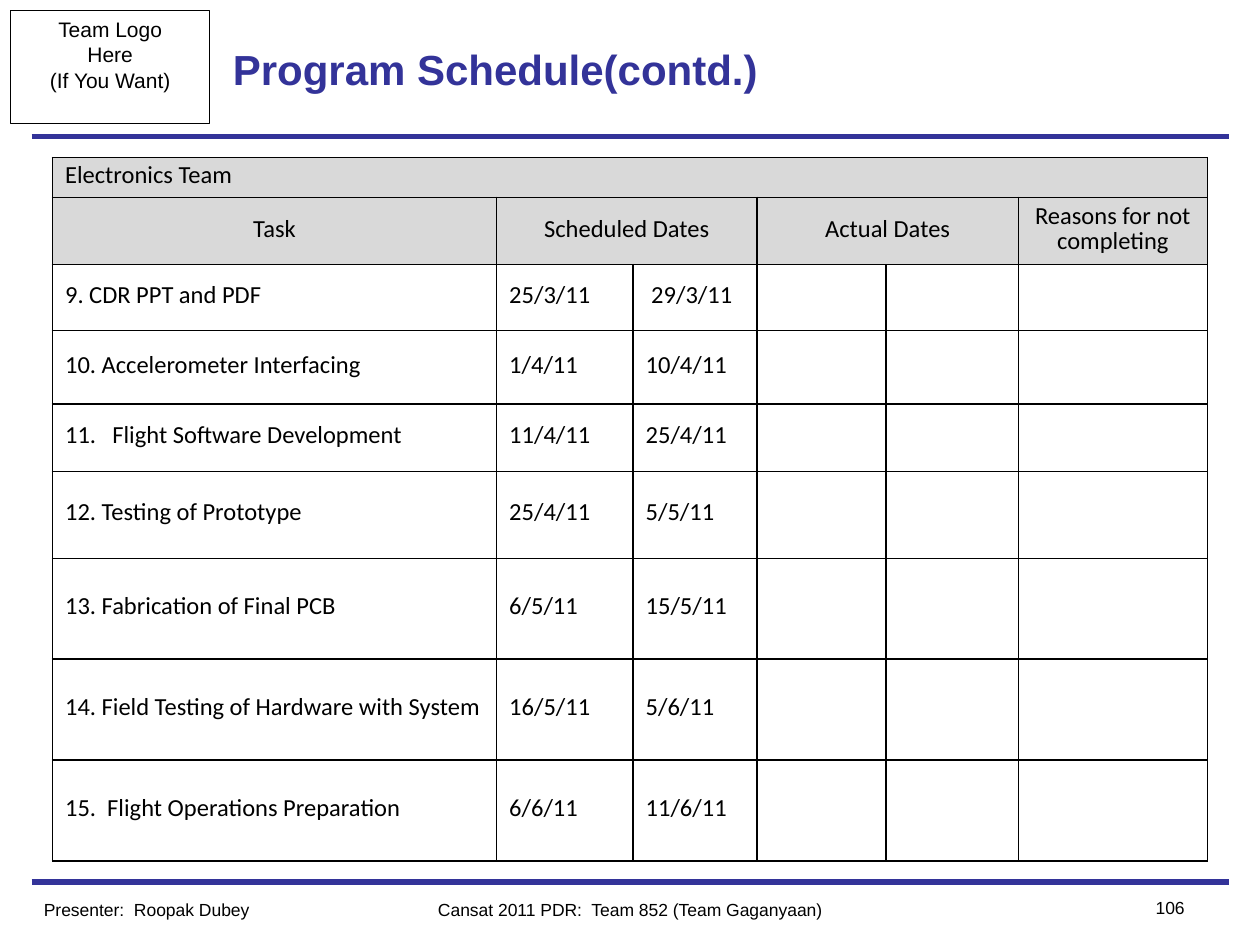
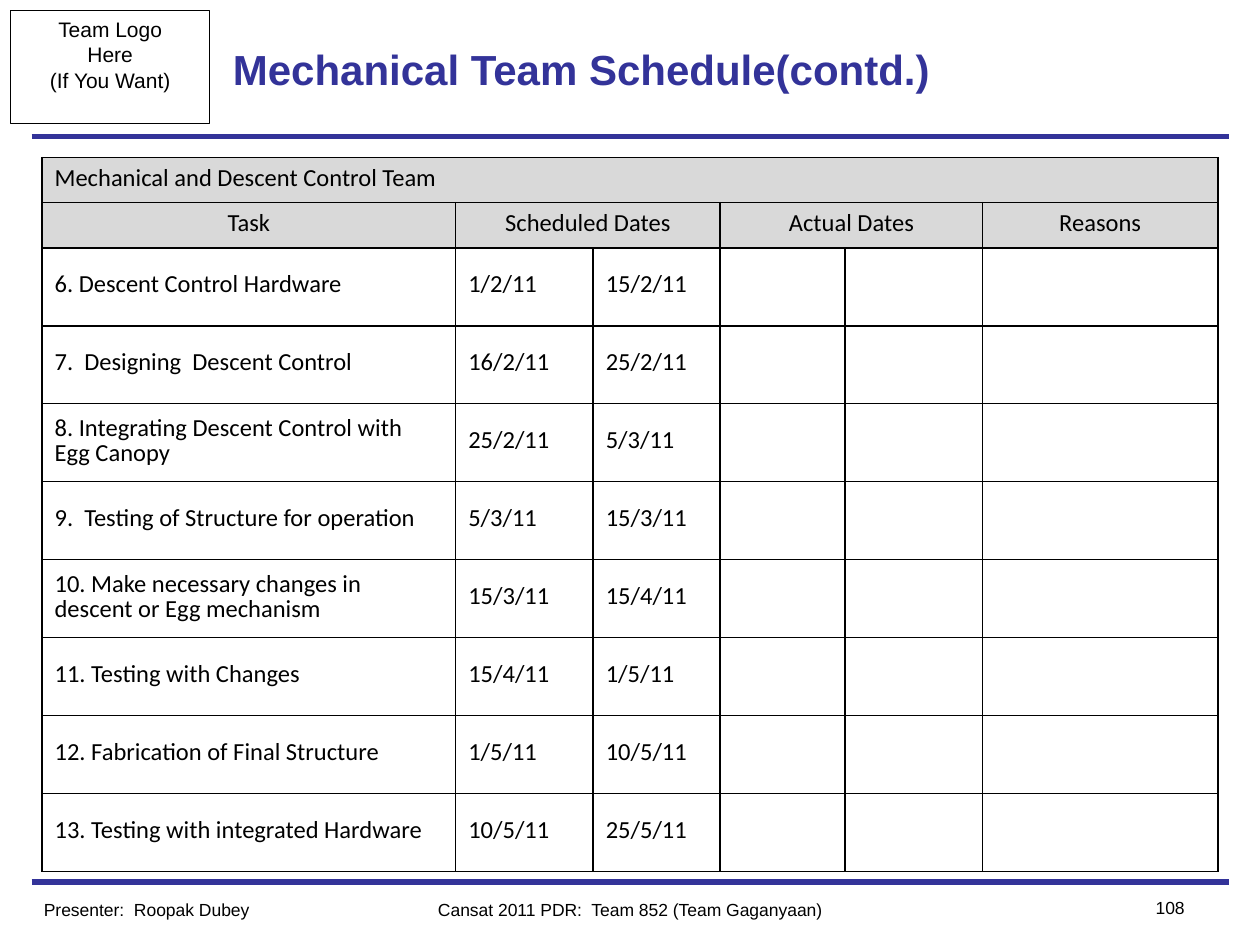
from dataclasses import dataclass

import pptx
import pptx.dml.color
import pptx.enum.shapes
import pptx.enum.text
import pptx.oxml
import pptx.oxml.ns
import pptx.util
from pptx.presentation import Presentation
from pptx.slide import Slide
from pptx.table import Table, _Cell
from pptx.text.text import TextFrame, _Paragraph

ALIGN = pptx.enum.text.PP_ALIGN
ANCHOR = pptx.enum.text.MSO_ANCHOR

WIDTH, HEIGHT = pptx.util.Inches(10), pptx.util.Inches(7.5)
GRID_COLUMNS = 120
UNIT = WIDTH / GRID_COLUMNS  # one square grid step; the slide is 120 by 90


@dataclass(frozen=True)
class Theme:
    accent: str = "333399"
    ink: str = "000000"
    paper: str = "FFFFFF"
    header_fill: str = "D9D9D9"
    slide_font: str = "Arial"
    table_font: str = "Calibri"
    title_size: int = 24
    table_size: int = 14
    logo_size: int = 12
    footer_size: int = 10
    rule_width: float = 3
    box_width: float = 0.5
    border_width: float = 1
    table_leading: float = 0.82


THEME = Theme()


@dataclass(frozen=True)
class TextStyle:
    size: int
    font: str = THEME.slide_font
    color: str = THEME.ink
    bold: bool = False


TITLE = TextStyle(THEME.title_size, color=THEME.accent, bold=True)
LOGO = TextStyle(THEME.logo_size)
FOOTER = TextStyle(THEME.footer_size)
CELL = TextStyle(THEME.table_size, THEME.table_font)


@dataclass(frozen=True)
class Area:
    """A rectangle in grid steps."""
    left: float
    top: float
    width: float
    height: float

    def emu(self) -> tuple[int, ...]:
        return tuple(map(grid, (self.left, self.top, self.width, self.height)))


@dataclass(frozen=True)
class Label:
    area: Area
    text: str
    style: TextStyle
    align: ALIGN = ALIGN.LEFT
    anchor: ANCHOR = ANCHOR.TOP


@dataclass(frozen=True)
class Task:
    name: str
    start: str
    end: str


@dataclass(frozen=True)
class Schedule:
    title: str
    page: int
    team: str
    reasons: str
    left: float
    columns: tuple[float, ...]
    rows: tuple[float, ...]
    tasks: tuple[Task, ...]


TABLE_TOP = 15
RULE_ROWS = (84, 13)
RULE_SPAN = (3, 117)
LOGO_AREA = Area(1, 1, 19, 10.8)
LOGO_LINES = ("Team Logo", "Here", "(If You Want)")
TAB_STOP = 4.5

SCHEDULES = (
    Schedule(
        "Program Schedule(contd.)", 106, "Electronics Team", "Reasons for not completing",
        left=5,
        columns=(42.3, 13, 11.8, 12.3, 12.6, 18),
        rows=(3.8, 6.4, 6.3, 7, 6.4, 8.3) + (9.6,) * 3,
        tasks=(
            Task("9. CDR PPT and PDF", "25/3/11", " 29/3/11"),
            Task("10. Accelerometer Interfacing", "1/4/11", "10/4/11"),
            Task("11.\tFlight Software Development", "11/4/11", "25/4/11"),
            Task("12. Testing of Prototype", "25/4/11", "5/5/11"),
            Task("13. Fabrication of Final PCB", "6/5/11", "15/5/11"),
            Task("14. Field Testing of Hardware with System", "16/5/11", "5/6/11"),
            Task("15.  Flight Operations Preparation", "6/6/11", "11/6/11"),
        ),
    ),
    Schedule(
        "Mechanical Team Schedule(contd.)", 108, "Mechanical and Descent Control Team", "Reasons",
        left=4,
        columns=(39.4, 13.1, 12.1, 11.9, 13.1, 22.4),
        rows=(4.3,) * 2 + (7.43,) * 8,
        tasks=(
            Task("6. Descent Control Hardware", "1/2/11", "15/2/11"),
            Task("7.  Designing  Descent Control", "16/2/11", "25/2/11"),
            Task("8. Integrating Descent Control with Egg Canopy", "25/2/11", "5/3/11"),
            Task("9.  Testing of Structure for operation", "5/3/11", "15/3/11"),
            Task("10. Make necessary changes in descent or Egg mechanism", "15/3/11", "15/4/11"),
            Task("11. Testing with Changes", "15/4/11", "1/5/11"),
            Task("12. Fabrication of Final Structure", "1/5/11", "10/5/11"),
            Task("13. Testing with integrated Hardware", "10/5/11", "25/5/11"),
        ),
    ),
)


def grid(steps: float) -> int:
    return round(steps * UNIT)


def rgb(color: str) -> pptx.dml.color.RGBColor:
    return pptx.dml.color.RGBColor.from_string(color)


def add_run(p: _Paragraph, text: str, style: TextStyle) -> None:
    r = p.add_run()
    r.text = text
    r.font.name = style.font
    r.font.size = pptx.util.Pt(style.size)
    r.font.bold = style.bold
    r.font.color.rgb = rgb(style.color)


def write_lines(tf: TextFrame, lines: tuple[str, ...], style: TextStyle, align: ALIGN) -> None:
    for i, line in enumerate(lines):
        p = tf.add_paragraph() if i else tf.paragraphs[0]
        p.alignment = align
        add_run(p, line, style)


def add_rule(s: Slide, row: float) -> None:
    start, end = map(grid, RULE_SPAN)
    y = grid(row)
    line = s.shapes.add_connector(pptx.enum.shapes.MSO_CONNECTOR.STRAIGHT, start, y, end, y)
    line.line.color.rgb = rgb(THEME.accent)
    line.line.width = pptx.util.Pt(THEME.rule_width)
    sp_pr = line._element.spPr
    sp_pr.append(sp_pr.makeelement(pptx.oxml.ns.qn("a:effectLst"), {}))


def add_logo_box(s: Slide) -> None:
    sp = s.shapes.add_shape(pptx.enum.shapes.MSO_SHAPE.RECTANGLE, *LOGO_AREA.emu())
    sp.shadow.inherit = False
    sp.fill.background()
    sp.line.color.rgb = rgb(THEME.ink)
    sp.line.width = pptx.util.Pt(THEME.box_width)
    tf = sp.text_frame
    tf.word_wrap = False
    tf.vertical_anchor = ANCHOR.TOP
    write_lines(tf, LOGO_LINES, LOGO, ALIGN.CENTER)


def add_label(s: Slide, label: Label) -> None:
    tf = s.shapes.add_textbox(*label.area.emu()).text_frame
    tf.word_wrap = True
    tf.vertical_anchor = label.anchor
    write_lines(tf, (label.text,), label.style, label.align)


def style_cell(cell: _Cell, fill: str) -> None:
    """Set insets, borders and fill; borders must precede the fill in the XML."""
    cell.margin_left = cell.margin_right = pptx.util.Inches(0.1)
    cell.margin_top, cell.margin_bottom = pptx.util.Inches(0.03), pptx.util.Inches(0.05)
    cell.vertical_anchor = ANCHOR.MIDDLE
    tc_pr = cell._tc.get_or_add_tcPr()
    for side in "LRTB":
        tc_pr.append(pptx.oxml.parse_xml(
            f'<a:ln{side} {pptx.oxml.ns.nsdecls("a")} w="{pptx.util.Pt(THEME.border_width)}">'
            f'<a:solidFill><a:srgbClr val="{THEME.ink}"/></a:solidFill></a:ln{side}>'))
    cell.fill.solid()
    cell.fill.fore_color.rgb = rgb(fill)


def write_cell(cell: _Cell, text: str, align: ALIGN = ALIGN.LEFT) -> None:
    p = cell.text_frame.paragraphs[0]
    p.alignment = align
    p.line_spacing = THEME.table_leading
    if "\t" in text:
        p._p.get_or_add_pPr().append(pptx.oxml.parse_xml(
            f'<a:tabLst {pptx.oxml.ns.nsdecls("a")}>'
            f'<a:tab pos="{grid(TAB_STOP)}" algn="l"/></a:tabLst>'))
    add_run(p, text, CELL)


def fill_headers(table: Table, schedule: Schedule) -> None:
    for row, first, last in ((0, 0, 5), (1, 1, 2), (1, 3, 4)):
        table.cell(row, first).merge(table.cell(row, last))
    write_cell(table.cell(0, 0), schedule.team)
    headings = {0: "Task", 1: "Scheduled Dates", 3: "Actual Dates", 5: schedule.reasons}
    for column, heading in headings.items():
        write_cell(table.cell(1, column), heading, ALIGN.CENTER)


def add_schedule_table(s: Slide, schedule: Schedule) -> None:
    columns, rows = schedule.columns, schedule.rows
    area = Area(schedule.left, TABLE_TOP, sum(columns), sum(rows))
    table = s.shapes.add_table(len(rows), len(columns), *area.emu()).table
    table.first_row = table.horz_banding = False
    for column, width in zip(table.columns, columns):
        column.width = grid(width)
    for i, (row, height) in enumerate(zip(table.rows, rows)):
        row.height = grid(height)
        for cell in row.cells:
            style_cell(cell, THEME.header_fill if i < 2 else THEME.paper)
    fill_headers(table, schedule)
    for i, task in enumerate(schedule.tasks, start=2):
        for j, text in enumerate((task.name, task.start, task.end)):
            write_cell(table.cell(i, j), text)


def add_schedule_slide(prs: Presentation, schedule: Schedule) -> None:
    s = prs.slides.add_slide(prs.slide_layouts[6])
    for row in RULE_ROWS:
        add_rule(s, row)
    add_logo_box(s)
    labels = (
        Label(Area(21, 1, 78, 11), schedule.title, TITLE, anchor=ANCHOR.MIDDLE),
        Label(Area(36, 85, 48, 3.2), "Cansat 2011 PDR:  Team 852 (Team Gaganyaan)",
              FOOTER, ALIGN.CENTER),
        Label(Area(105, 84.8, 9, 3.2), str(schedule.page), FOOTER, ALIGN.RIGHT),
        Label(Area(3, 85, 30, 3.2), "Presenter:  Roopak Dubey", FOOTER),
    )
    for label in labels:
        add_label(s, label)
    add_schedule_table(s, schedule)


def main() -> None:
    prs = pptx.Presentation()
    prs.slide_width, prs.slide_height = WIDTH, HEIGHT
    for schedule in SCHEDULES:
        add_schedule_slide(prs, schedule)
    prs.save("out.pptx")


if __name__ == "__main__":
    main()
